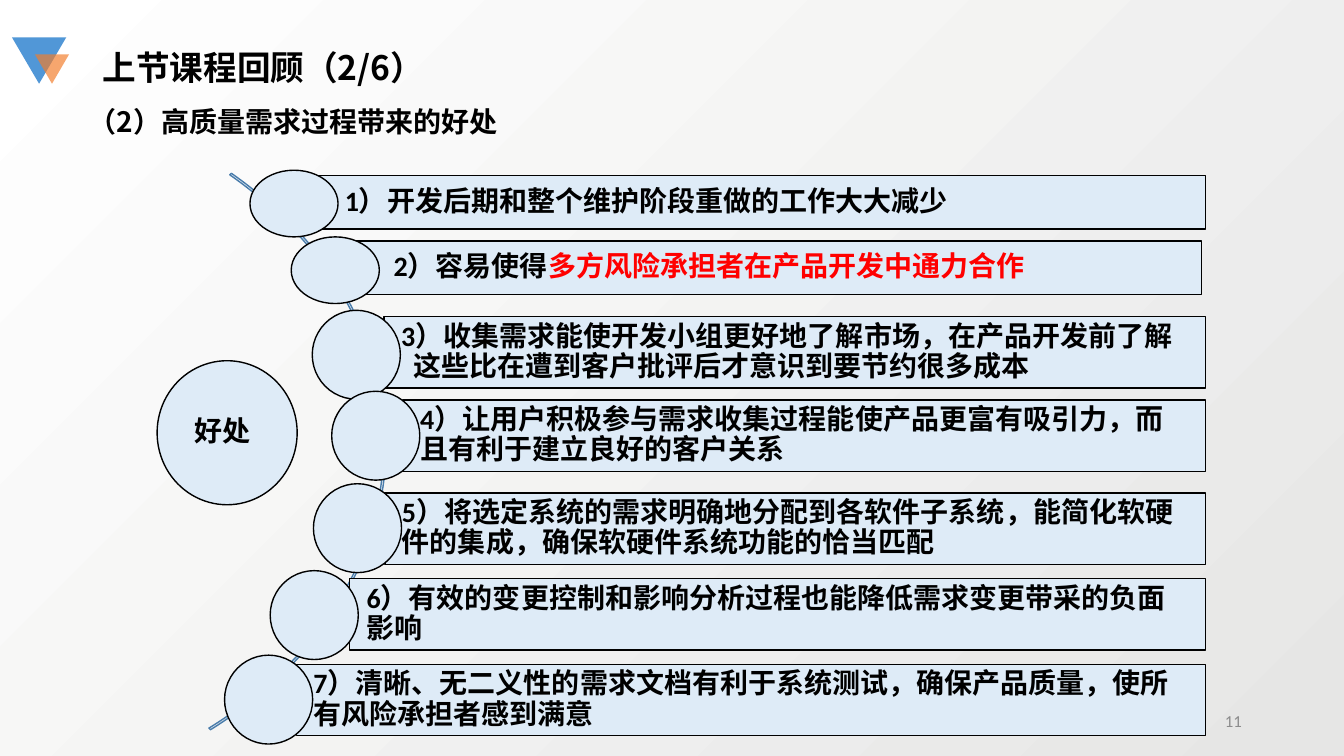
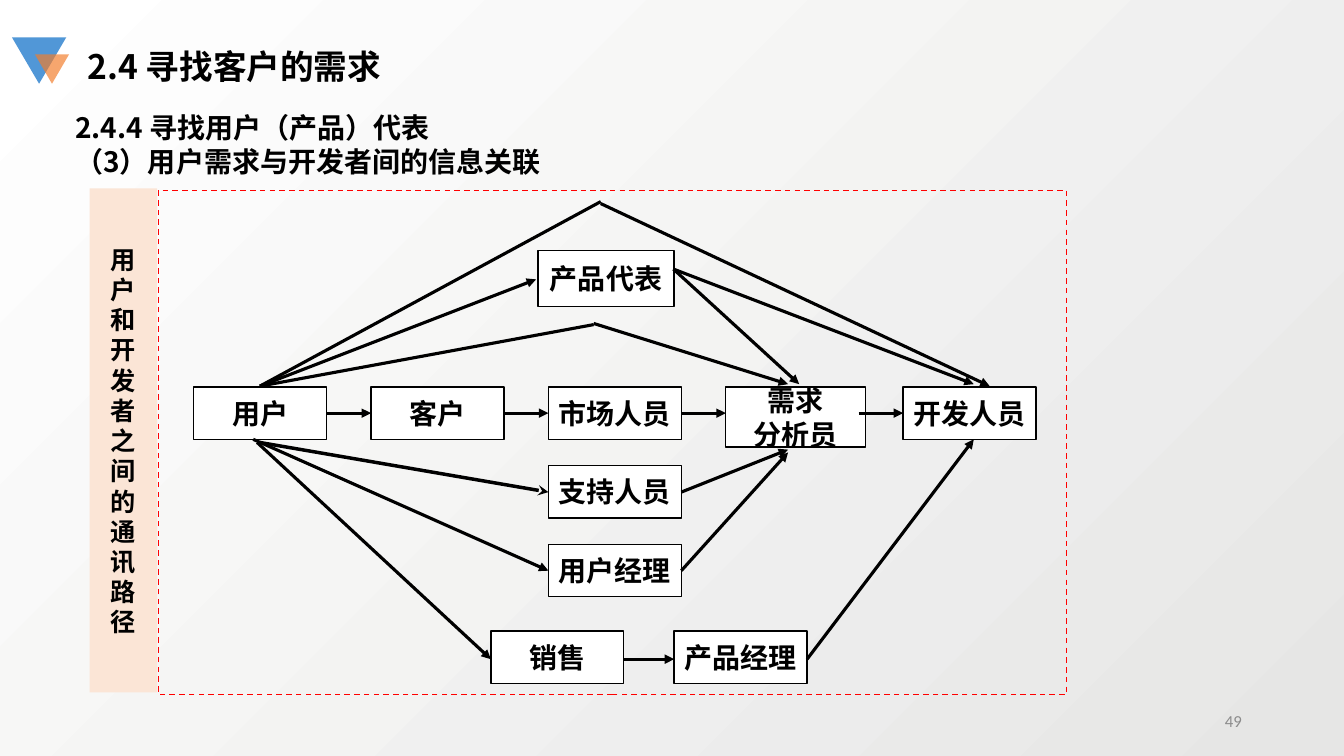
from dataclasses import dataclass
from typing import Optional

from lxml.etree import SubElement
from pptx import Presentation
from pptx.dml.color import RGBColor
from pptx.enum.dml import MSO_LINE_DASH_STYLE as Dash
from pptx.enum.shapes import MSO_AUTO_SHAPE_TYPE as Kind, MSO_CONNECTOR as Connector
from pptx.enum.text import MSO_ANCHOR as Anchor, PP_ALIGN as Align
from pptx.oxml.ns import qn
from pptx.util import Cm, Pt


# Theme
@dataclass(frozen=True)
class Theme:
    black: str = "000000"
    white: str = "FFFFFF"
    red: str = "FF0000"
    pale_blue: str = "DEEBF7"
    peach: str = "FBE5D6"
    arc_blue: str = "497CAB"
    mark_blue: str = "5197D7"
    mark_orange: str = "F37D2A"
    number_grey: str = "8C8C8C"
    background_grey: str = "E6E6E5"
    sans: str = "Noto Sans CJK SC"
    latin: str = "Calibri"
    serif: str = "Times New Roman"
    title: int = 24
    body: int = 20
    side: int = 18
    number: int = 12


THEME = Theme()


# Text
@dataclass(frozen=True)
class Style:
    font: str
    size: int
    color: str = THEME.black
    bold: bool = True


HEADING = Style(THEME.sans, THEME.title)
SUBHEADING = Style(THEME.sans, THEME.body)
BENEFIT = Style(THEME.latin, THEME.body)
BENEFIT_RED = Style(THEME.latin, THEME.body, THEME.red)
ROLE = Style(THEME.serif, THEME.body)
SIDE = Style(THEME.serif, THEME.side)
NUMBER = Style(THEME.latin, THEME.number, THEME.number_grey, False)


def add_run(paragraph, text: str, style: Style) -> None:
    run = paragraph.add_run()
    run.text = text
    font = run.font
    font.name, font.size, font.bold = style.font, Pt(style.size), style.bold
    font.color.rgb = RGBColor.from_string(style.color)
    east_asian = SubElement(run.element.get_or_add_rPr() if hasattr(run, "element")
                            else run._r.get_or_add_rPr(), qn("a:ea"))
    east_asian.set("typeface", THEME.sans)


def write_lines(frame, lines: list[str], style: Style, align=Align.LEFT) -> None:
    for index, line in enumerate(lines):
        paragraph = frame.add_paragraph() if index else frame.paragraphs[0]
        paragraph.alignment = align
        add_run(paragraph, line, style)


def add_text(slide, left: float, top: float, width: float, height: float,
             lines: list[str], style: Style, align=Align.LEFT, anchor=Anchor.TOP) -> None:
    frame = slide.shapes.add_textbox(Cm(left), Cm(top), Cm(width), Cm(height)).text_frame
    frame.word_wrap = True
    frame.vertical_anchor = anchor
    write_lines(frame, lines, style, align)


# Shapes
def add_shape(slide, kind, left: float, top: float, width: float, height: float,
              fill: Optional[str] = None, line: Optional[str] = None):
    shape = slide.shapes.add_shape(kind, Cm(left), Cm(top), Cm(width), Cm(height))
    shape.shadow.inherit = False
    if fill:
        shape.fill.solid()
        shape.fill.fore_color.rgb = RGBColor.from_string(fill)
    else:
        shape.fill.background()
    if line:
        shape.line.color.rgb = RGBColor.from_string(line)
        shape.line.width = Pt(1)
    else:
        shape.line.fill.background()
    return shape


def add_line(slide, start: tuple[float, float], end: tuple[float, float],
             head: Optional[str] = "triangle", width: float = 2.25) -> None:
    connector = slide.shapes.add_connector(
        Connector.STRAIGHT, Cm(start[0]), Cm(start[1]), Cm(end[0]), Cm(end[1]))
    connector.line.color.rgb = RGBColor.from_string(THEME.black)
    connector.line.width = Pt(width)
    properties = connector.element.spPr
    if head:
        SubElement(properties.find(qn("a:ln")), qn("a:tailEnd")).set("type", head)
    SubElement(properties, qn("a:effectLst"))


# Shared parts
def set_background(presentation) -> None:
    fill = presentation.slide_master.background.fill
    fill.gradient()
    fill.gradient_angle = 135
    for stop, color in zip(fill.gradient_stops, (THEME.background_grey, THEME.white)):
        stop.color.rgb = RGBColor.from_string(color)


def start_slide(presentation, title: str, left: float, top: float, number: str):
    slide = presentation.slides.add_slide(presentation.slide_layouts[6])
    large = add_shape(slide, Kind.ISOSCELES_TRIANGLE, 0.3, 0.94, 1.37, 1.17, THEME.mark_blue)
    small = add_shape(slide, Kind.ISOSCELES_TRIANGLE, 0.88, 1.37, 0.86, 0.74, THEME.mark_orange)
    large.rotation = small.rotation = 180
    color = small.element.spPr.find(qn("a:solidFill")).find(qn("a:srgbClr"))
    SubElement(color, qn("a:alpha")).set("val", "68000")
    add_text(slide, left, top, 14.5, 1.27, [title], HEADING)
    add_text(slide, 23.93, 17.65, 7.62, 1.02, [number], NUMBER, Align.RIGHT, Anchor.MIDDLE)
    return slide


# Benefits slide
PADDING = 0.43


@dataclass(frozen=True)
class Benefit:
    left: float
    top: float
    circle_left: float
    circle_top: float
    text: str
    emphasis: str = ""
    tall: bool = True
    right: float = 30.38
    inset: float = PADDING
    hanging: float = 0


BENEFITS = [
    Benefit(7.39, 4.42, 6.3, 4.29, "1）开发后期和整个维护阶段重做的工作大大减少", tall=False, inset=1.3),
    Benefit(8.69, 6.07, 7.34, 5.97, "2）容易使得", "多方风险承担者在产品开发中通力合作",
            tall=False, right=30.28, inset=1.23),
    Benefit(9.68, 7.98, 7.87, 7.82,
            "3）收集需求能使开发小组更好地了解市场，在产品开发前了解"
            "这些比在遭到客户批评后才意识到要节约很多成本", hanging=0.3),
    Benefit(10.16, 10.08, 8.36, 9.86,
            "4）让用户积极参与需求收集过程能使产品更富有吸引力，而且有利于建立良好的客户关系"),
    Benefit(9.7, 12.42, 7.9, 12.19,
            "5）将选定系统的需求明确地分配到各软件子系统，能简化软硬件的集成，"
            "确保软硬件系统功能的恰当匹配"),
    Benefit(8.81, 14.58, 6.81, 14.38,
            "6）有效的变更控制和影响分析过程也能降低需求变更带采的负面影响"),
    Benefit(7.47, 16.74, 5.66, 16.51,
            "7）清晰、无二义性的需求文档有利于系统测试，确保产品质量，使所有风险承担者感到满意"),
]


def write_benefit(shape, text: str, emphasis: str = "", inset: float = PADDING,
                  hanging: float = 0) -> None:
    frame = shape.text_frame
    frame.word_wrap = True
    frame.vertical_anchor = Anchor.MIDDLE
    frame.margin_left = Cm(inset)
    frame.margin_top = frame.margin_right = frame.margin_bottom = Cm(PADDING)
    paragraph = frame.paragraphs[0]
    paragraph.alignment = Align.LEFT
    paragraph.line_spacing = 0.9
    paragraph.space_after = Pt(7)
    if hanging:
        properties = paragraph._p.get_or_add_pPr()
        properties.set("marL", str(Cm(hanging)))
        properties.set("indent", str(-Cm(hanging)))
    add_run(paragraph, text, BENEFIT)
    if emphasis:
        add_run(paragraph, emphasis, BENEFIT_RED)


def build_benefits(presentation) -> None:
    slide = start_slide(presentation, "上节课程回顾（2/6）", 2.34, 1.07, "11")
    add_text(slide, 1.98, 2.51, 16.94, 1.12, ["（2）高质量需求过程带来的好处"], SUBHEADING)

    # Arc behind the circles
    arc = add_shape(slide, Kind.BLOCK_ARC, -13.49, 2.06, 23.22, 18.29, line=THEME.arc_blue)
    for index, value in enumerate((191.064, 27, 0.003)):
        arc.adjustments[index] = value

    # Bars with their circles
    for item in BENEFITS:
        bar = add_shape(slide, Kind.RECTANGLE, item.left, item.top, item.right - item.left,
                        1.8 if item.tall else 1.35, THEME.pale_blue, THEME.black)
        write_benefit(bar, item.text, item.emphasis, item.inset, item.hanging)
        add_shape(slide, Kind.OVAL, item.circle_left, item.circle_top, 2.22,
                  2.24 if item.tall else 1.68, THEME.pale_blue, THEME.black)

    hub = add_shape(slide, Kind.OVAL, 3.96, 9.09, 3.53, 3.63, THEME.pale_blue, THEME.black)
    write_benefit(hub, "好处")


# Communication slide
BOX_WIDTH, BOX_HEIGHT = 3.35, 1.32
ROW_TOP = 9.75
COLUMNS = [4.88 + 4.47 * index for index in range(5)]


@dataclass(frozen=True)
class Role:
    lines: list[str]
    left: float
    top: float = ROW_TOP
    width: float = BOX_WIDTH
    height: float = BOX_HEIGHT


@dataclass(frozen=True)
class Link:
    start: tuple[float, float]
    end: tuple[float, float]
    head: Optional[str] = "triangle"
    width: float = 2.25


ROLES = [
    Role(["用户"], COLUMNS[0]),
    Role(["客户"], COLUMNS[1]),
    Role(["市场人员"], COLUMNS[2]),
    Role(["需求", "分析员"], COLUMNS[3], width=3.53, height=1.52),
    Role(["开发人员"], COLUMNS[4]),
    Role(["产品代表"], 13.56, 6.32, 3.43, 1.4),
    Role(["支持人员"], COLUMNS[2], 11.73),
    Role(["用户经理"], COLUMNS[2], 13.72),
    Role(["销售"], 12.37, 15.9),
    Role(["产品经理"], 16.99, 15.9),
]
USER_TOP = (6.55, 9.73)
REPRESENTATIVE = (16.97, 6.78)
LINKS = [
    *(Link((left + BOX_WIDTH, 10.41), (right, 10.41))
      for left, right in zip(COLUMNS, COLUMNS[1:])),
    # Below the main row
    Link((6.55, 11.15), (13.82, 12.4), "stealth", 2.5),
    Link((6.38, 11.07), (13.82, 14.38)),
    Link((6.48, 11.15), (12.37, 16.61)),
    Link((17.17, 12.4), (19.86, 11.33)),
    Link((17.17, 14.38), (19.86, 11.4)),
    Link((15.72, 16.61), (16.99, 16.61)),
    Link((20.34, 16.61), (24.54, 11.07)),
    # Above the main row
    Link(USER_TOP, (13.51, 7.04)),
    Link(REPRESENTATIVE, (20.14, 9.68)),
    Link(REPRESENTATIVE, (24.54, 9.68)),
    Link(USER_TOP, (15.14, 5.08), None),
    Link((15.14, 5.13), (24.94, 9.73)),
    Link(USER_TOP, (14.96, 8.18), None),
    Link((14.96, 8.15), (19.86, 9.68)),
]


def build_communication(presentation) -> None:
    slide = start_slide(presentation, "2.4 寻找客户的需求", 1.96, 1.02, "49")
    add_text(slide, 1.65, 2.67, 23.34, 1.96,
             ["2.4.4 寻找用户（产品）代表", "（3）用户需求与开发者间的信息关联"], SUBHEADING)

    # Roles and the links between them
    for role in ROLES:
        box = add_shape(slide, Kind.RECTANGLE, role.left, role.top, role.width, role.height,
                        THEME.white, THEME.black)
        box.text_frame.word_wrap = False
        box.text_frame.vertical_anchor = Anchor.MIDDLE
        write_lines(box.text_frame, role.lines, ROLE, Align.CENTER)
    for link in LINKS:
        add_line(slide, link.start, link.end, link.head, link.width)

    # Frame and side label
    border = add_shape(slide, Kind.RECTANGLE, 3.99, 4.8, 22.89, 12.7, line=THEME.red)
    border.line.dash_style = Dash.DASH
    label = add_shape(slide, Kind.RECTANGLE, 2.26, 4.75, 1.7, 12.7, THEME.peach)
    label.text_frame.word_wrap = True
    label.text_frame.vertical_anchor = Anchor.MIDDLE
    write_lines(label.text_frame, ["用户和开发者之间的通讯路径"], SIDE, Align.CENTER)


def main() -> None:
    presentation = Presentation()
    presentation.slide_width, presentation.slide_height = Cm(33.87), Cm(19.05)
    set_background(presentation)
    build_benefits(presentation)
    build_communication(presentation)
    presentation.save("out.pptx")


if __name__ == "__main__":
    main()
